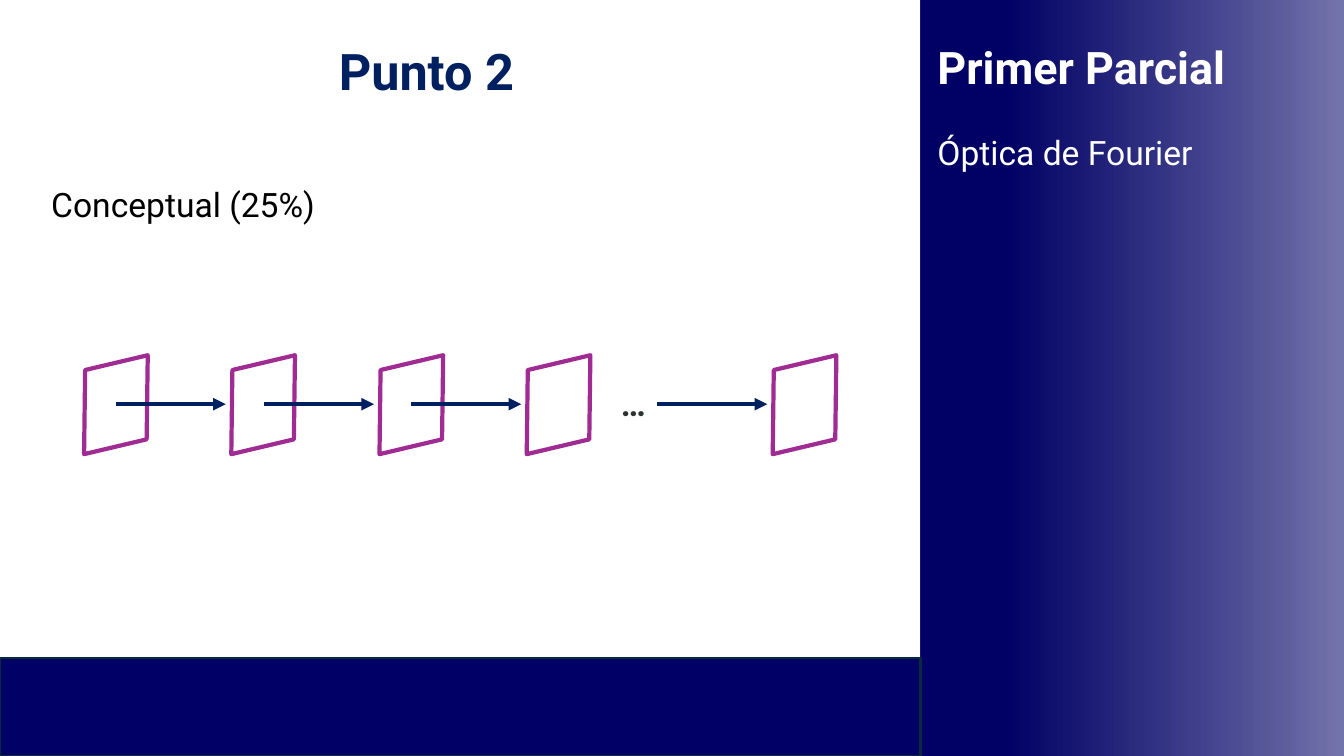
from lxml import etree
from pptx import Presentation
from pptx import util as u
from pptx.dml.color import RGBColor
from pptx.enum import shapes, text
from pptx.oxml.ns import qn

PX = 9144
WHITE = RGBColor(0xFF, 0xFF, 0xFF)
BLACK = RGBColor(0x00, 0x00, 0x00)
NAVY = RGBColor(0x00, 0x20, 0x60)
BAND = RGBColor(0x00, 0x00, 0x66)
DEEP = RGBColor(0x00, 0x00, 0x65)
BAND_EDGE = RGBColor(0x09, 0x2A, 0x39)
PURPLE = RGBColor(0xA0, 0x2B, 0x93)
CHARCOAL = RGBColor(0x2E, 0x35, 0x31)


class SlideBuilder:
    font_name = "Roboto"

    def __init__(self, slide):
        self.slide = slide

    def lengths(self, *values):
        return [u.Emu(value * PX) for value in values]

    def fill_text(self, shape, lines, wrap):
        frame = shape.text_frame
        frame.auto_size = text.MSO_AUTO_SIZE.NONE
        frame.word_wrap = wrap
        frame.vertical_anchor = text.MSO_ANCHOR.TOP
        for index, (words, size, color, bold, before) in enumerate(lines):
            paragraph = frame.add_paragraph() if index else frame.paragraphs[0]
            paragraph.text = words
            paragraph.alignment = text.PP_ALIGN.LEFT
            paragraph.space_before = u.Pt(before)
            font = paragraph.font
            font.name, font.size, font.bold = self.font_name, u.Pt(size), bold
            font.color.rgb = color

    def title(self, box, words, size, color):
        shape = self.slide.shapes.title
        shape.left, shape.top, shape.width, shape.height = self.lengths(*box)
        self.fill_text(shape, [(words, size, color, True, 0)], False)

    def label(self, box, lines, wrap=True):
        shape = self.slide.shapes.add_textbox(*self.lengths(*box))
        self.fill_text(shape, lines, wrap)

    def shape(self, kind, box, fill=None, line=None, weight=0, rotation=0):
        shape = self.slide.shapes.add_shape(kind, *self.lengths(*box))
        shape.shadow.inherit = False
        shape.rotation = rotation
        if fill is not None:
            shape.fill.solid()
            shape.fill.fore_color.rgb = fill
        if line is None:
            shape.line.fill.background()
        else:
            shape.line.color.rgb = line
            shape.line.width = u.Pt(weight)
        return shape

    def gradient_panel(self, box, stops):
        shape = self.shape(shapes.MSO_SHAPE.RECTANGLE, box)
        shape.fill.gradient()
        shape.fill.gradient_angle = 0
        stop_list = shape._element.spPr.find(".//" + qn("a:gsLst"))
        for stop in list(stop_list):
            stop_list.remove(stop)
        for position, color, opacity in stops:
            stop = etree.SubElement(stop_list, qn("a:gs"), pos=str(position * 1000))
            tint = etree.SubElement(stop, qn("a:srgbClr"), val=str(color))
            etree.SubElement(tint, qn("a:alpha"), val=str(opacity * 1000))

    def arrow(self, start, end, color, weight):
        connector = self.slide.shapes.add_connector(
            shapes.MSO_CONNECTOR.STRAIGHT, *self.lengths(*start, *end))
        connector.line.color.rgb = color
        connector.line.width = u.Pt(weight)
        etree.SubElement(connector.line._get_or_add_ln(), qn("a:tailEnd"), type="triangle")
        etree.SubElement(connector._element.spPr, qn("a:effectLst"))


def main():
    presentation = Presentation()
    presentation.slide_width = u.Emu(1333 * PX)
    presentation.slide_height = u.Emu(750 * PX)
    builder = SlideBuilder(presentation.slides.add_slide(presentation.slide_layouts[5]))

    builder.gradient_panel((913, 0, 423, 751),
                           [(19, DEEP, 100), (85, BAND, 63), (98, BAND, 54)])
    builder.shape(shapes.MSO_SHAPE.RECTANGLE, (0, 653, 913, 97), BAND, BAND_EDGE, 1.5)
    builder.title((326, 35, 220, 71), "Punto 2", 36, NAVY)
    builder.label((920, 34, 487, 145), [("Primer Parcial", 32, WHITE, True, 0),
                                        ("Óptica de Fourier", 24, WHITE, False, 28)])
    builder.label((41, 178, 571, 50), [("Conceptual (25%)", 24, BLACK, False, 0)])

    plane_lefts = [73 + index * 293 // 2 for index in range(4)] + [756]
    for left in plane_lefts:
        builder.shape(shapes.MSO_SHAPE.PARALLELOGRAM, (left, 361, 84, 81),
                      WHITE, PURPLE, 3, 346.7)
    for left in plane_lefts[1:]:
        tip = left + 5
        builder.arrow((tip - 109, 401), (tip, 401), NAVY, 3)
    builder.label((606, 375, 41, 43), [("…", 24, CHARCOAL, True, 0)], wrap=False)

    presentation.save("out.pptx")


if __name__ == "__main__":
    main()
